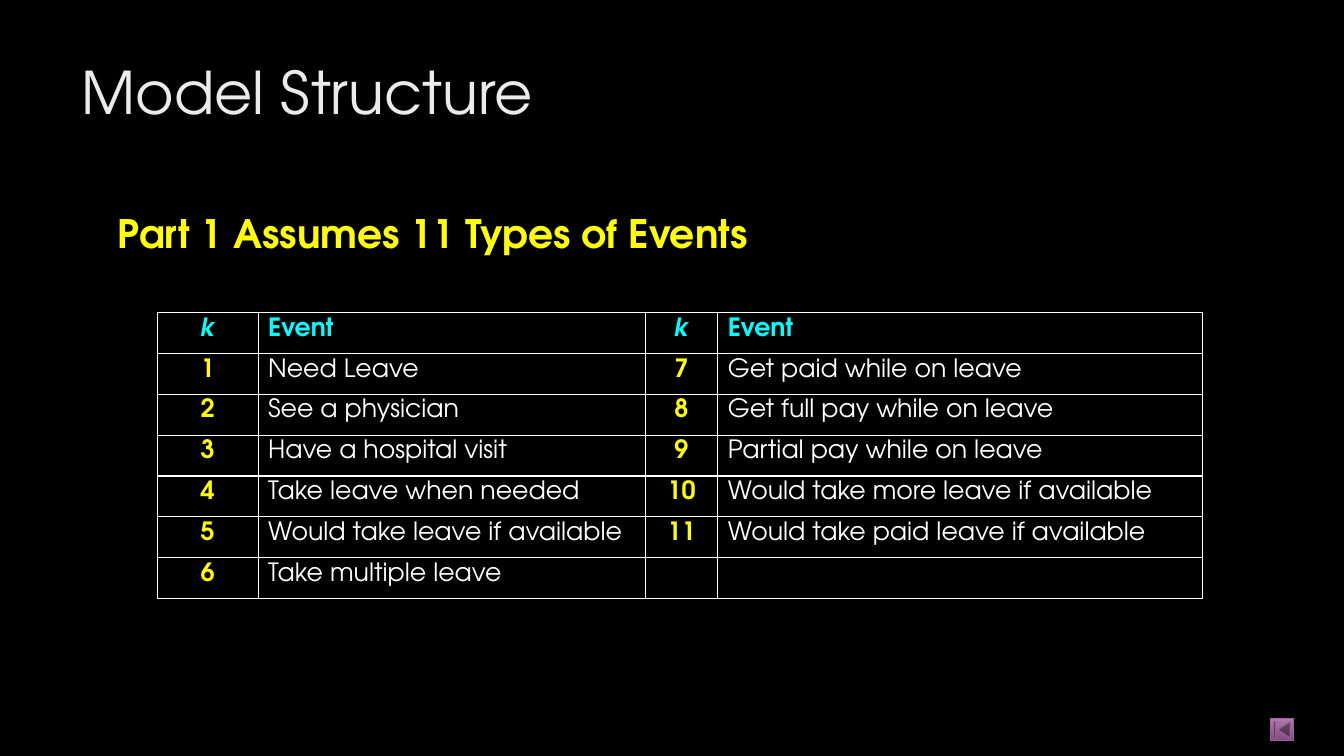
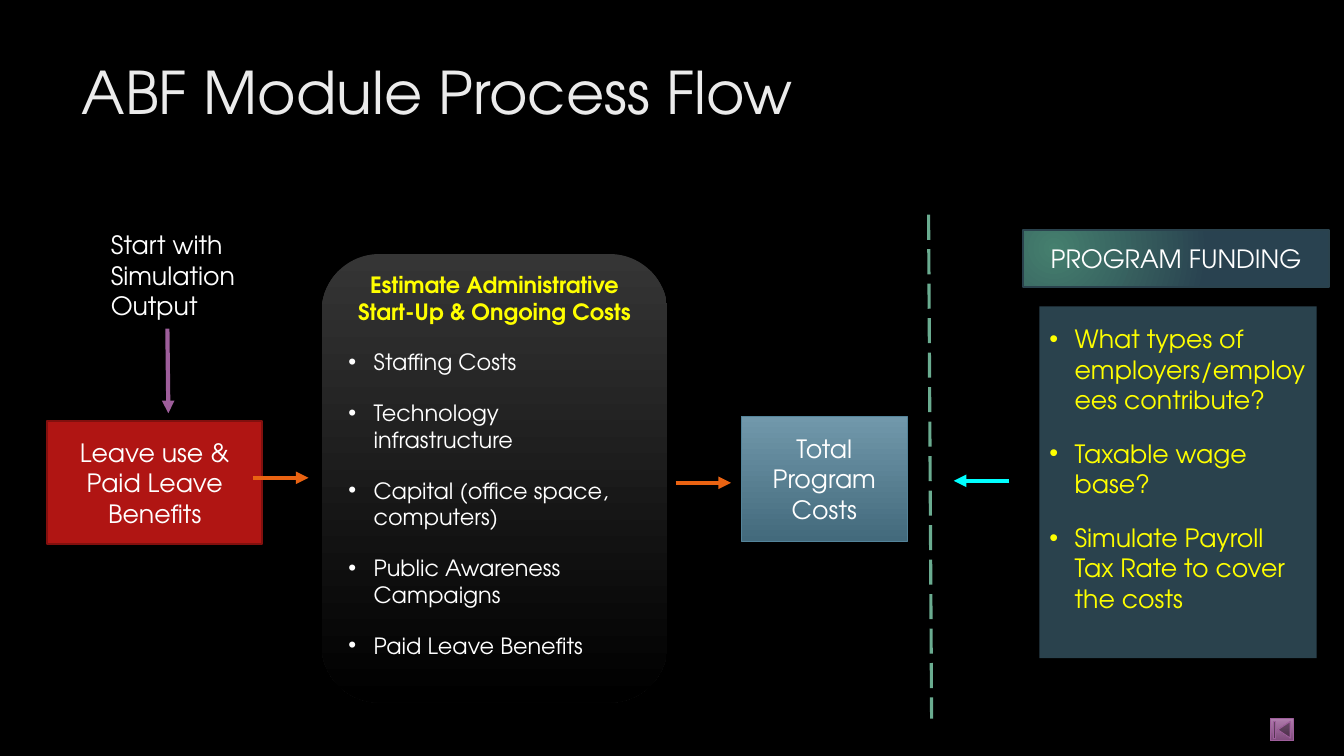
from dataclasses import dataclass
from typing import Optional

from lxml.etree import SubElement
from pptx import Presentation
from pptx.dml.color import RGBColor
from pptx.enum.dml import MSO_LINE
from pptx.enum.shapes import MSO_CONNECTOR, MSO_SHAPE
from pptx.enum.text import MSO_ANCHOR, MSO_AUTO_SIZE, PP_ALIGN
from pptx.oxml.ns import qn
from pptx.util import Inches, Pt

FONT = "TeX Gyre Adventor"
BLACK, WHITE, YELLOW, CYAN = "000000", "FFFFFF", "FFFF00", "00FFFF"
TITLE_COLOR, PURPLE, ORANGE = "EBEBEB", "9E5E9B", "EA6312"
NAVY, GREEN = "2A424D", "6AAC90"

EVENTS = [
    "Need Leave", "See a physician", "Have a hospital visit",
    "Take leave when needed", "Would take leave if available",
    "Take multiple leave", "Get paid while on leave",
    "Get full pay while on leave", "Partial pay while on leave",
    "Would take more leave if available",
    "Would take paid leave if available",
]
EVENT_ROWS = 6
COLUMN_WIDTHS = (1, 3.84, 0.72, 4.81)

COST_ITEMS = [
    "Staffing Costs", "Technology infrastructure",
    "Capital (office space, computers)", "Public Awareness Campaigns",
    "Paid Leave Benefits",
]
FUNDING_ITEMS = [
    "What types of employers/employees contribute?",
    "Taxable wage base?",
    "Simulate Payroll Tax Rate to cover the costs",
]


@dataclass
class Panel:
    left: float
    top: float
    width: float
    height: float
    colors: tuple[str, ...]
    line: Optional[str] = None
    line_width: float = 0.75
    kind: MSO_SHAPE = MSO_SHAPE.RECTANGLE


@dataclass
class Line:
    start: tuple[float, float]
    end: tuple[float, float]
    color: str
    width: float = 3
    arrow: bool = True


HOME_BUTTON = Panel(12.6, 7.13, 0.23, 0.22, ("AF7CAC", "7F4B7C"), PURPLE,
                    kind=MSO_SHAPE.ACTION_BUTTON_BEGINNING)
LEAVE_USE = Panel(0.47, 4.18, 2.13, 1.22, ("B01513",), "82100E", 1.5)
COSTS = Panel(3.19, 2.52, 3.43, 4.45, ("353535", BLACK),
              kind=MSO_SHAPE.ROUNDED_RECTANGLE)
TOTAL = Panel(7.35, 4.13, 1.65, 1.24, ("7198AB", "436A7C"), "54849A")
FUNDING_HEADER = Panel(10.15, 2.28, 3.03, 0.57, ("457F6E", "294250"), NAVY, 1.5)
FUNDING = Panel(10.31, 3.04, 2.75, 3.49, (NAVY,))

ARROWS = [
    Line((1.66, 3.26), (1.67, 4.1), PURPLE),
    Line((2.51, 4.74), (3.06, 4.74), ORANGE),
    Line((6.7, 4.79), (7.25, 4.79), ORANGE),
    Line((10.01, 4.77), (9.46, 4.77), CYAN),
]
DIVIDER = Line((9.21, 2.13), (9.24, 7.13), GREEN, 2.25, arrow=False)


def rgb(value: str) -> RGBColor:
    return RGBColor.from_string(value)


def write(frame, text: str, *, size: float = 18, color: str = WHITE,
          bold: bool = False, italic: bool = False, align=PP_ALIGN.LEFT,
          before: float = 0, indent: float = 0, bullet: bool = False) -> None:
    """Fill the frame's empty first paragraph, or add one after its text."""
    para = frame.paragraphs[0] if not frame.text else frame.add_paragraph()
    properties = para._p.get_or_add_pPr()
    properties.set("marL", str(Inches(indent)))
    properties.set("indent", str(Inches(-indent if bullet else 0)))
    if bullet:
        SubElement(properties, qn("a:buFont"), typeface="Arial")
        SubElement(properties, qn("a:buChar"), char="•")
    else:
        SubElement(properties, qn("a:buNone"))
    para.alignment = align
    para.space_before = Pt(before)
    span = para.add_run()
    span.text = text
    span.font.name = FONT
    span.font.size = Pt(size)
    span.font.bold = bold
    span.font.italic = italic
    span.font.color.rgb = rgb(color)


def write_bullets(frame, items: list[str], *, size: float, color: str) -> None:
    for item in items:
        write(frame, item, size=size, color=color, indent=0.25, bullet=True,
              before=17 if frame.text else 0)


def place(box, left: float, top: float, width: float, height: float) -> None:
    box.left, box.top = Inches(left), Inches(top)
    box.width, box.height = Inches(width), Inches(height)
    frame = box.text_frame
    frame.word_wrap = True
    frame.auto_size = MSO_AUTO_SIZE.NONE
    frame.vertical_anchor = MSO_ANCHOR.TOP


def add_panel(page, panel: Panel):
    box = page.shapes.add_shape(
        panel.kind, Inches(panel.left), Inches(panel.top),
        Inches(panel.width), Inches(panel.height))
    box.shadow.inherit = False
    if len(panel.colors) == 1:
        box.fill.solid()
        box.fill.fore_color.rgb = rgb(panel.colors[0])
    else:
        box.fill.gradient()
        box.fill.gradient_angle = 270
        for stop, color in zip(box.fill.gradient_stops, panel.colors):
            stop.color.rgb = rgb(color)
    if panel.line:
        box.line.color.rgb = rgb(panel.line)
        box.line.width = Pt(panel.line_width)
    else:
        box.line.fill.background()
    box.text_frame.word_wrap = True
    box.text_frame.vertical_anchor = MSO_ANCHOR.MIDDLE
    return box


def make_gradient_radial(box) -> None:
    gradient = box._element.spPr.find(qn("a:gradFill"))
    gradient.remove(gradient.find(qn("a:lin")))
    circle = SubElement(gradient, qn("a:path"), path="circle")
    SubElement(circle, qn("a:fillToRect"),
               l="45000", t="65000", r="125000", b="100000")


def add_line(page, line: Line):
    connector = page.shapes.add_connector(
        MSO_CONNECTOR.STRAIGHT,
        *(Inches(value) for value in line.start + line.end))
    connector.line.color.rgb = rgb(line.color)
    connector.line.width = Pt(line.width)
    if line.arrow:
        SubElement(connector.line._get_or_add_ln(), qn("a:tailEnd"),
                   type="triangle")
    SubElement(connector._element.spPr, qn("a:effectLst"))
    return connector


def add_page(deck, layout: str, title: str):
    page = deck.slides.add_slide(deck.slide_layouts.get_by_name(layout))
    place(page.shapes.title, 0.71, 0.5, 10.29, 1.53)
    write(page.shapes.title.text_frame, title, size=42, color=TITLE_COLOR)
    add_panel(page, HOME_BUTTON)
    return page


def format_cell(cell) -> None:
    """Give the cell white borders and a black fill."""
    properties = cell._tc.get_or_add_tcPr()
    for side in ("lnL", "lnR", "lnT", "lnB"):
        border = SubElement(properties, qn(f"a:{side}"), w=str(Pt(1)))
        fill = SubElement(border, qn("a:solidFill"))
        SubElement(fill, qn("a:srgbClr"), val=WHITE)
    cell.fill.solid()
    cell.fill.fore_color.rgb = rgb(BLACK)


def add_event_table(page) -> None:
    table = page.shapes.add_table(
        EVENT_ROWS + 1, len(COLUMN_WIDTHS), Inches(1.56), Inches(3.1),
        Inches(sum(COLUMN_WIDTHS)), Inches(2.84)).table
    table.first_row = table.horz_banding = False
    for column, width in zip(table.columns, COLUMN_WIDTHS):
        column.width = Inches(width)
    for cell in table.iter_cells():
        format_cell(cell)
    for column in (0, 2):
        write(table.cell(0, column).text_frame, "k", color=CYAN, bold=True,
              italic=True, align=PP_ALIGN.CENTER)
        write(table.cell(0, column + 1).text_frame, "Event", color=CYAN,
              bold=True)
    for index, event in enumerate(EVENTS):
        half, row = divmod(index, EVENT_ROWS)
        write(table.cell(row + 1, 2 * half).text_frame, str(index + 1),
              color=YELLOW, bold=True, align=PP_ALIGN.CENTER)
        write(table.cell(row + 1, 2 * half + 1).text_frame, event)


def add_structure_page(deck) -> None:
    page = add_page(deck, "Title and Content", "Model Structure")
    body = page.placeholders[1]
    place(body, 0.95, 2.03, 9.2, 0.81)
    write(body.text_frame, "Part 1 Assumes 11 Types of Events", size=28,
          color=YELLOW, bold=True, indent=0.12)
    add_event_table(page)


def add_flow_page(deck) -> None:
    page = add_page(deck, "Title Only", "ABF Module Process Flow")

    start = page.shapes.add_textbox(0, 0, 0, 0)
    place(start, 1, 2.23, 1.61, 1.01)
    write(start.text_frame, "Start with Simulation Output")

    leave_use = add_panel(page, LEAVE_USE).text_frame
    for text in ("Leave use &", "Paid Leave Benefits"):
        write(leave_use, text, align=PP_ALIGN.CENTER)

    costs = add_panel(page, COSTS).text_frame
    costs.vertical_anchor = MSO_ANCHOR.TOP
    costs.margin_top = 0
    write(costs, "Estimate Administrative Start-Up & Ongoing Costs", size=16,
          color=YELLOW, bold=True, align=PP_ALIGN.CENTER)
    write_bullets(costs, COST_ITEMS, size=16, color=WHITE)

    total = add_panel(page, TOTAL)
    write(total.text_frame, "Total Program Costs", align=PP_ALIGN.CENTER)

    divider = add_line(page, DIVIDER)
    divider.line.dash_style = MSO_LINE.LONG_DASH

    header = add_panel(page, FUNDING_HEADER)
    make_gradient_radial(header)
    write(header.text_frame, "PROGRAM FUNDING", align=PP_ALIGN.CENTER)

    funding = add_panel(page, FUNDING).text_frame
    funding.vertical_anchor = MSO_ANCHOR.TOP
    funding.margin_top = Inches(0.17)
    write_bullets(funding, FUNDING_ITEMS, size=18, color=YELLOW)

    for arrow in ARROWS:
        add_line(page, arrow)


def main() -> None:
    deck = Presentation()
    deck.slide_width, deck.slide_height = Inches(13.33), Inches(7.5)
    background = deck.slide_master.background.fill
    background.solid()
    background.fore_color.rgb = rgb(BLACK)
    add_structure_page(deck)
    add_flow_page(deck)
    deck.save("out.pptx")


if __name__ == "__main__":
    main()
